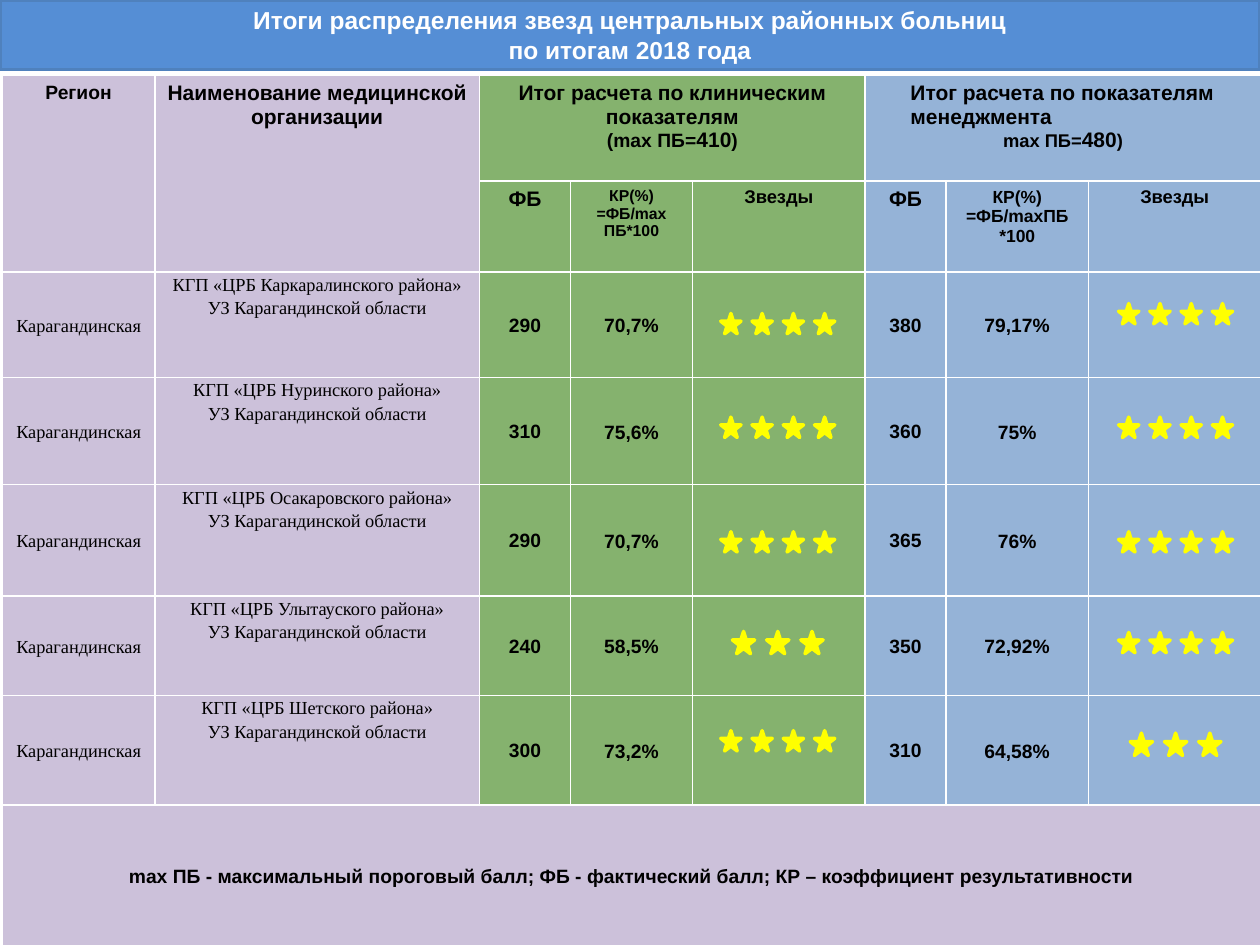
import pptx
import pptx.util
import pptx.dml.color
import pptx.enum.shapes
import pptx.enum.text
import pptx.oxml
import pptx.oxml.ns

Cm, Pt = pptx.util.Cm, pptx.util.Pt
ALIGN = pptx.enum.text.PP_ALIGN
TOP, MIDDLE = pptx.enum.text.MSO_ANCHOR.TOP, pptx.enum.text.MSO_ANCHOR.MIDDLE

COLORS = {
    "title": "558ED5", "title_line": "4F81BD", "white": "FFFFFF", "black": "000000",
    "lilac": "CCC1DA", "green": "85B26E", "blue": "95B3D7", "star": "FFFF00",
}
TITLE = ["Итоги распределения звезд центральных районных больниц", "по итогам 2018 года"]
COL_WIDTHS = [3.07, 6.55, 1.83, 2.46, 3.48, 1.63, 2.87, 3.48]
ROW_HEIGHTS = [2.13, 1.83, 2.13, 2.16, 2.24, 2.01, 2.21, 2.84]
COL_FILLS = ["lilac"] * 2 + ["green"] * 3 + ["blue"] * 3
MERGES = [((0, 0), (1, 0)), ((0, 1), (1, 1)), ((0, 2), (0, 4)), ((0, 5), (0, 7)), ((7, 0), (7, 7))]

# (row, column): paragraphs, each a list of (text, size) runs
HEADERS = {
    (0, 0): [[("Регион", 11)]],
    (0, 1): [[("Наименование медицинской организации", 12)]],
    (0, 2): [[("Итог расчета по клиническим показателям", 12)],
             [("(mах ПБ=", 11), ("410", 12), (")", 11)]],
    (0, 5): [[("Итог расчета по показателям менеджмента", 12)],
             [("mах ПБ=", 10.5), ("480", 12), (")", 10.5)]],
    (1, 2): [[("ФБ", 12)]],
    (1, 3): [[("КР(%)", 9)], [("=ФБ/mах ПБ*100", 9)]],
    (1, 4): [[("Звезды", 10.5)]],
    (1, 5): [[("ФБ", 12)]],
    (1, 6): [[("КР(%)", 10)], [("=ФБ/mахПБ *100", 10)]],
    (1, 7): [[("Звезды", 10.5)]],
}
REGION = "Карагандинская"
OWNER = "УЗ Карагандинской области"
# district, then for clinical and management: score, ratio, number of stars, top of stars
HOSPITALS = [
    ("Каркаралинского", ("290", "70,7%", 4, 6.32), ("380", "79,17%", 4, 6.12)),
    ("Нуринского", ("310", "75,6%", 4, 8.41), ("360", "75%", 4, 8.41)),
    ("Осакаровского", ("290", "70,7%", 4, 10.72), ("365", "76%", 4, 10.72)),
    ("Улытауского", ("240", "58,5%", 3, 12.73), ("350", "72,92%", 4, 12.75)),
    ("Шетского", ("300", "73,2%", 4, 14.73), ("310", "64,58%", 3, 14.78)),
]
STAR_CENTERS = [15.68, 23.7]
STAR_SIZES = {4: (0.41, 0.63), 3: (0.45, 0.69)}  # count: (size, pitch)
FOOTNOTE = ("mах ПБ - максимальный пороговый балл; ФБ - фактический балл; "
            "КР – коэффициент результативности")


def rgb(name):
    return pptx.dml.color.RGBColor.from_string(COLORS[name])


def paint(sp, fill, line):
    sp.shadow.inherit = False
    sp.fill.solid()
    sp.fill.fore_color.rgb = rgb(fill)
    sp.line.color.rgb = rgb(line)
    sp.line.width = Pt(2)


def add_run(p, text, size, color="black", font="Arial", bold=True):
    r = p.add_run()
    r.text = text
    r.font.size, r.font.name, r.font.bold = Pt(size), font, bold
    r.font.color.rgb = rgb(color)


def write_cell(cell, paragraphs, anchor=TOP, margins=None, spacing=None, **font):
    """Margins are left and right, top, bottom in centimetres."""
    cell.vertical_anchor = anchor
    if margins:
        side, top, bottom = margins
        cell.margin_left = cell.margin_right = Cm(side)
        cell.margin_top, cell.margin_bottom = Cm(top), Cm(bottom)
    tf = cell.text_frame
    for i, runs in enumerate(paragraphs):
        p = tf.add_paragraph() if i else tf.paragraphs[0]
        p.alignment = ALIGN.CENTER
        if spacing:
            p.line_spacing = spacing
        for text, size in runs:
            add_run(p, text, size, **font)


def style_cell(cell, fill):
    cell.fill.solid()
    cell.fill.fore_color.rgb = rgb(fill)
    tc_pr = cell._tc.get_or_add_tcPr()
    for i, side in enumerate("LRTB"):
        tc_pr.insert(i, pptx.oxml.parse_xml(
            f'<a:ln{side} {pptx.oxml.ns.nsdecls("a")} w="12700"><a:solidFill>'
            f'<a:srgbClr val="{COLORS["white"]}"/></a:solidFill></a:ln{side}>'))


def add_title(s):
    sp = s.shapes.title
    sp.left, sp.top, sp.width, sp.height = Cm(0), Cm(0), Cm(25.4), Cm(1.4)
    paint(sp, "title", "title_line")
    tf = sp.text_frame
    tf.word_wrap = True
    tf.vertical_anchor = MIDDLE
    p = tf.paragraphs[0]
    p.alignment = ALIGN.CENTER
    for i, line in enumerate(TITLE):
        if i:
            p.add_line_break()
        add_run(p, line, 14, "white")


def add_results_table(s):
    table = s.shapes.add_table(len(ROW_HEIGHTS), len(COL_WIDTHS), Cm(0.05), Cm(1.52),
                               Cm(sum(COL_WIDTHS)), Cm(sum(ROW_HEIGHTS))).table
    table.first_row = table.horz_banding = False
    for column, width in zip(table.columns, COL_WIDTHS):
        column.width = Cm(width)
    last = len(ROW_HEIGHTS) - 1
    for i, height in enumerate(ROW_HEIGHTS):
        table.rows[i].height = Cm(height)
        for j, fill in enumerate(COL_FILLS):
            style_cell(table.cell(i, j), "lilac" if i == last else fill)
    for start, end in MERGES:
        table.cell(*start).merge(table.cell(*end))

    for place, paragraphs in HEADERS.items():
        write_cell(table.cell(*place), paragraphs)
    management = table.cell(0, 5).text_frame.paragraphs[0]
    management.alignment = ALIGN.LEFT
    management._p.get_or_add_pPr().set("marL", str(Cm(0.66)))

    wide = dict(margins=(0.18, 0, 0), spacing=1.15)
    serif = dict(wide, font="Times New Roman", bold=False)
    for i, (district, *results) in enumerate(HOSPITALS, start=2):
        write_cell(table.cell(i, 0), [[(REGION, 10.5)]], MIDDLE, **serif)
        name = f"КГП «ЦРБ {district} района»"
        write_cell(table.cell(i, 1), [[(name, 10.5)], [(OWNER, 10.5)]], **serif)
        for j, (score, ratio, _, _) in zip((2, 5), results):
            write_cell(table.cell(i, j), [[(score, 11)]], MIDDLE, (0.03, 0.03, 0))
            write_cell(table.cell(i, j + 1), [[(ratio, 11)]], MIDDLE, **wide)
    write_cell(table.cell(last, 0), [[(FOOTNOTE, 11)]], MIDDLE, **wide)


def add_stars(s, count, center, top):
    size, pitch = STAR_SIZES[count]
    left = center - (pitch * (count - 1) + size) / 2
    group = s.shapes.add_group_shape()
    for i in range(count):
        star = group.shapes.add_shape(pptx.enum.shapes.MSO_SHAPE.STAR_5_POINT,
                                      Cm(left + i * pitch), Cm(top), Cm(size), Cm(size))
        paint(star, "star", "star")


def main():
    prs = pptx.Presentation()
    prs.slide_width, prs.slide_height = Cm(25.4), Cm(19.05)
    s = prs.slides.add_slide(prs.slide_layouts[5])
    add_title(s)
    add_results_table(s)
    for _, *results in HOSPITALS:
        for center, (_, _, count, top) in zip(STAR_CENTERS, results):
            add_stars(s, count, center, top)
    prs.save("out.pptx")


if __name__ == "__main__":
    main()
